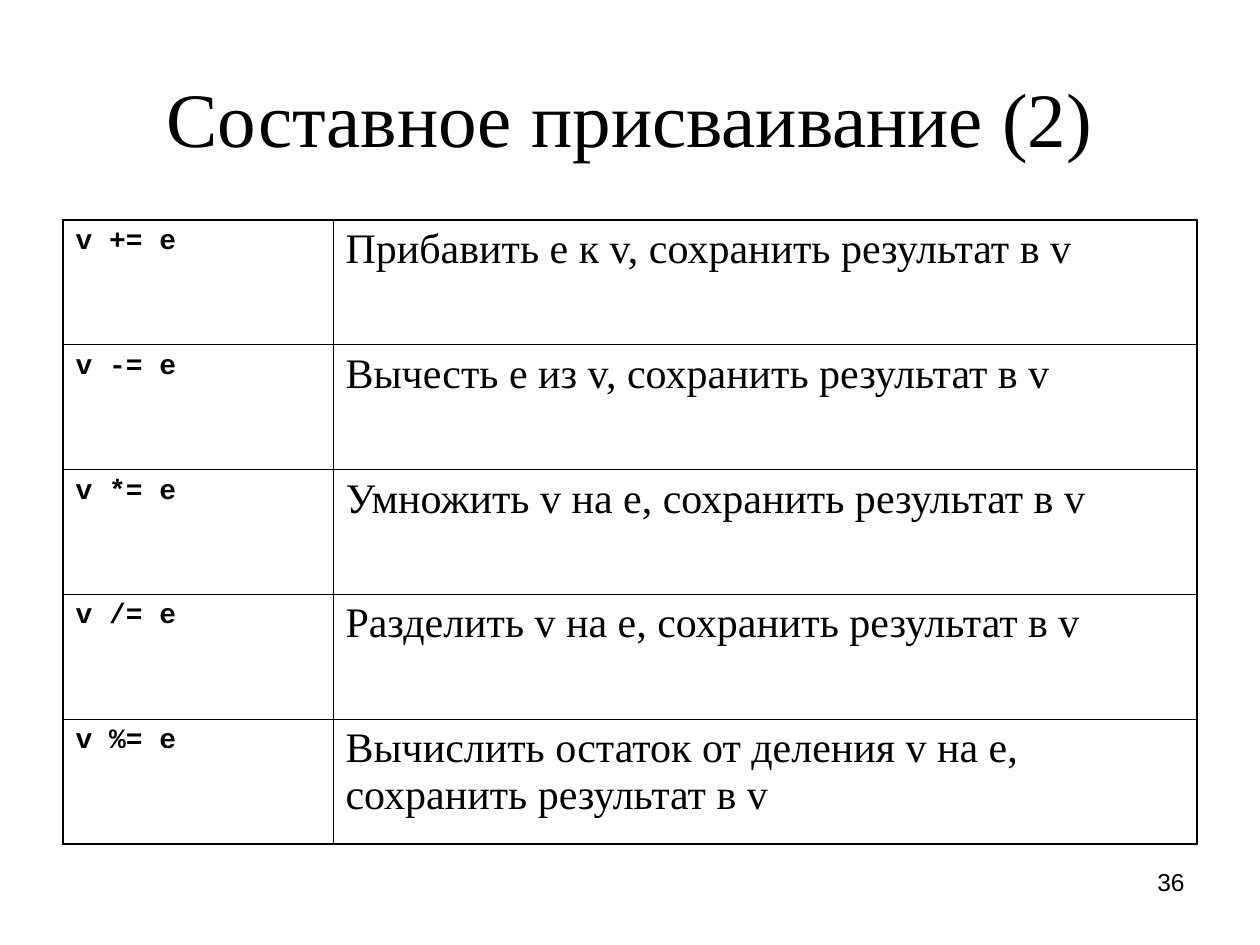
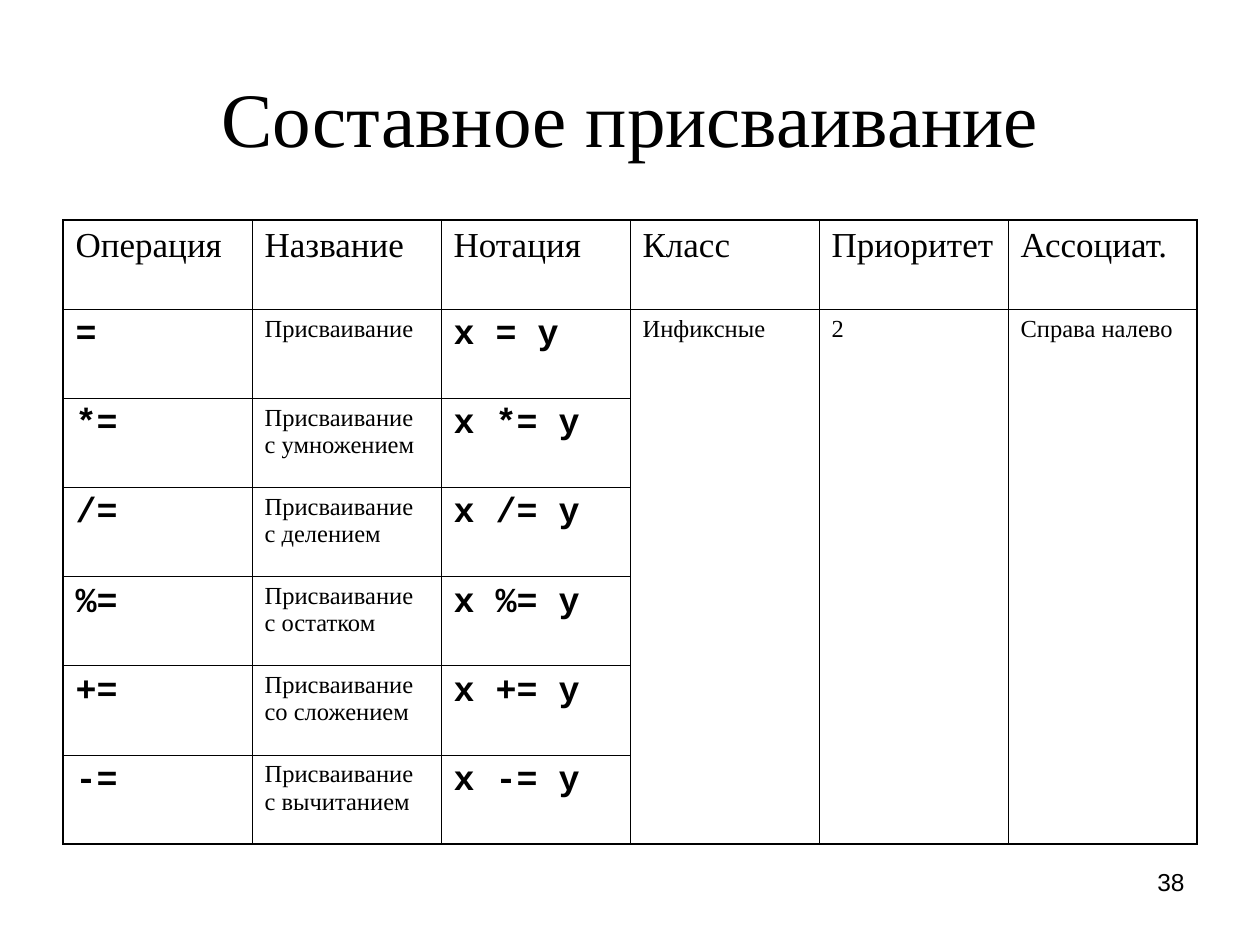
from lxml.etree import SubElement
from pptx import Presentation
from pptx.dml.color import RGBColor
from pptx.enum.text import MSO_ANCHOR, PP_ALIGN
from pptx.oxml.ns import qn
from pptx.util import Pt

PX = 914400 / 126
BLACK = "000000"
SERIF, MONO, SANS = "Times New Roman", "Courier New", "Arial"
THIN, THICK = Pt(0.45), Pt(1.08)


def ink(code):
    return RGBColor.from_string(code)


def put(frame, text, size=20, font=SERIF, bold=False, align=PP_ALIGN.LEFT,
        anchor=MSO_ANCHOR.TOP, before=0):
    frame.word_wrap = True
    frame.vertical_anchor = anchor
    para = frame.paragraphs[0]
    para.alignment = align
    para.space_before = Pt(before)
    run = para.add_run()
    run.text = text
    run.font.size = Pt(size)
    run.font.name = font
    run.font.bold = bold
    run.font.color.rgb = ink(BLACK)


code = dict(size=16, font=MONO, bold=True, before=4)
prose = dict(size=24, before=6)
head = dict(size=20, before=5)
sign = dict(size=20, font=MONO, bold=True, before=5)
note = dict(size=14, before=3.5)

rules = [
    ("v += e", "Прибавить e к v, сохранить результат в v"),
    ("v -= e", "Вычесть e из v, сохранить результат в v"),
    ("v *= e", "Умножить v на е, сохранить результат в v"),
    ("v /= e", "Разделить v на е, сохранить результат в v"),
    ("v %= e", "Вычислить остаток от деления v на e, сохранить результат в v"),
]
names = ["Операция", "Название", "Нотация", "Класс", "Приоритет", "Ассоциат."]
kinds = [
    ("=", "Присваивание"),
    ("*=", "Присваивание с умножением"),
    ("/=", "Присваивание с делением"),
    ("%=", "Присваивание с остатком"),
    ("+=", "Присваивание со сложением"),
    ("-=", "Присваивание с вычитанием"),
]
shared = ["Инфиксные", "2", "Справа налево"]

first = [[(op, code), (text, prose)] for op, text in rules]
second = [[(name, head) for name in names]]
for op, name in kinds:
    second.append([(op, sign), (name, note), (f"x {op} y", sign)])
second[1] += [(text, note) for text in shared]

pages = [
    ("Составное присваивание (2)", "36", [270, 864], first, []),
    ("Составное присваивание", "38", [189] * 6, second, [3, 4, 5]),
]

deck = Presentation()
deck.slide_width = round(1260 * PX)
deck.slide_height = round(945 * PX)

for title, number, widths, rows, tall in pages:
    slide = deck.slides.add_slide(deck.slide_layouts[6])
    box = [round(n * PX) for n in (63, 38, 1134, 157)]
    put(slide.shapes.add_textbox(*box).text_frame, title, size=44,
        align=PP_ALIGN.CENTER, anchor=MSO_ANCHOR.MIDDLE)

    last, edge = len(rows), len(widths)
    box = [round(n * PX) for n in (63, 220, 1134, 624)]
    grid = slide.shapes.add_table(last, edge, *box).table
    grid.first_row = grid.horz_banding = False
    for col, width in zip(grid.columns, widths):
        col.width = round(width * PX)
    for row in grid.rows:
        row.height = round(624 * PX / last)
    for c in tall:
        grid.cell(1, c).merge(grid.cell(last - 1, c))

    for r in range(last):
        for c in range(edge):
            cell = grid.cell(r, c)
            end = r + (cell.span_height if cell.is_merge_origin else 1)
            sides = [("lnL", c == 0), ("lnR", c == edge - 1)]
            if not cell.is_spanned:
                sides.append(("lnT", r == 0))
            if not cell.is_spanned or end == last:
                sides.append(("lnB", end == last))
            props = cell._tc.get_or_add_tcPr()
            for tag, outer in sides:
                line = SubElement(props, qn(f"a:{tag}"), w=str(THICK if outer else THIN))
                fill = SubElement(line, qn("a:solidFill"))
                SubElement(fill, qn("a:srgbClr"), val=BLACK)
            cell.fill.background()
            if c < len(rows[r]):
                text, style = rows[r][c]
                put(cell.text_frame, text, **style)

    box = [round(n * PX) for n in (903, 861, 294, 66)]
    put(slide.shapes.add_textbox(*box).text_frame, number, size=14,
        font=SANS, align=PP_ALIGN.RIGHT)

deck.save("out.pptx")
